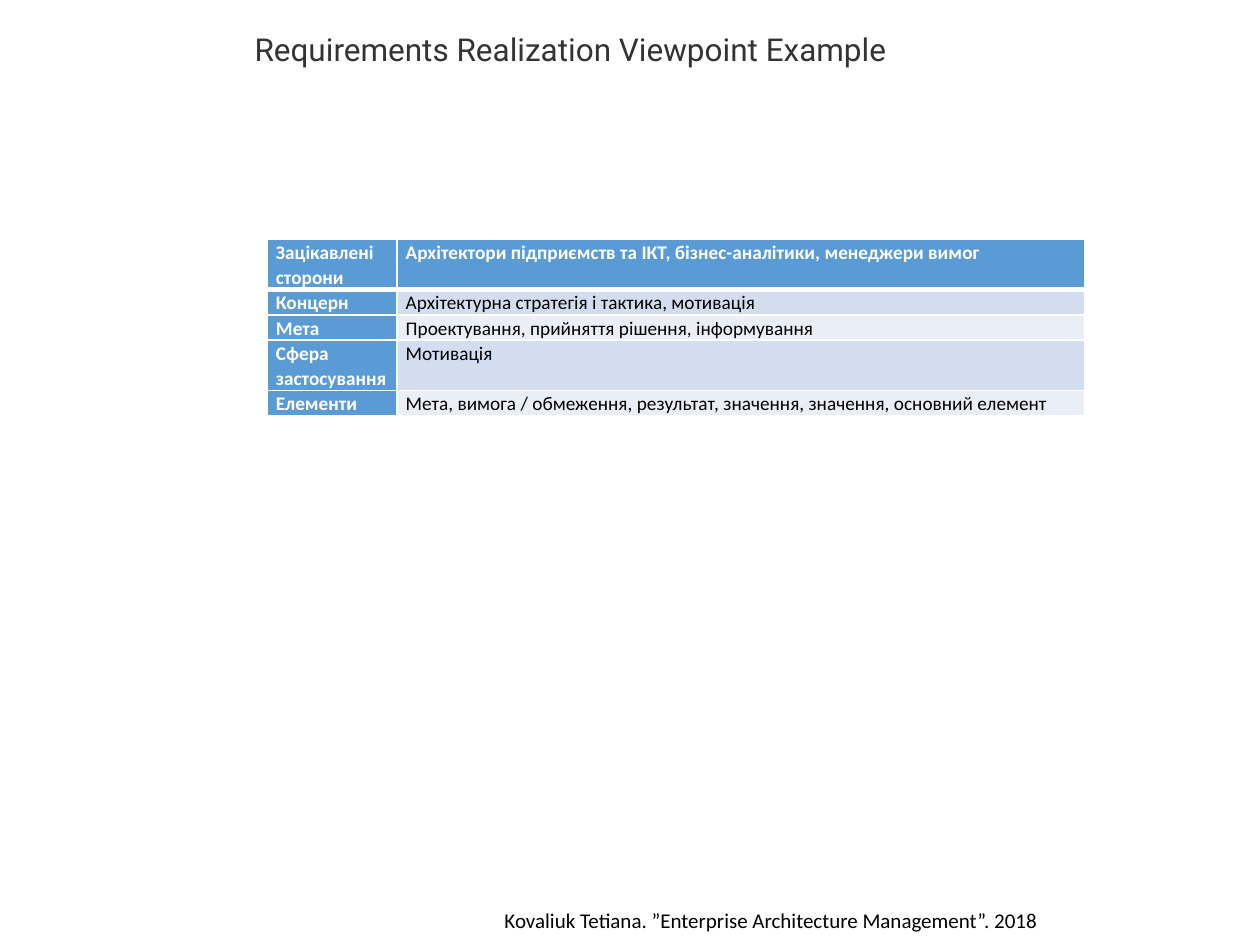
from lxml import etree
from pptx import Presentation
from pptx import util as u
from pptx.dml.color import RGBColor
from pptx.enum import text
from pptx.oxml.ns import qn

WHITE, BLACK, BLUE = "FFFFFF", "000000", "5B9BD5"
BANDS = ("D2DEEF", "EAEFF7")
COLUMN_WIDTHS = (1.03, 5.46)
LINE_HEIGHT = 0.2
ROWS = [
    ("Зацікавлені сторони", "Архітектори підприємств та ІКТ, бізнес-аналітики, менеджери вимог", 2),
    ("Концерн", "Архітектурна стратегія і тактика, мотивація", 1),
    ("Мета", "Проектування, прийняття рішення, інформування", 1),
    ("Сфера застосування", "Мотивація", 2),
    ("Елементи", "Мета, вимога / обмеження, результат, значення, значення, основний елемент", 1),
]


def color(value):
    return RGBColor.from_string(value)


def set_values(target, values):
    for name, value in values.items():
        setattr(target, name, value)


def write(frame, content, font, size, ink, bold=False, **paragraph_format):
    frame.text = content
    frame.word_wrap = True
    paragraph = frame.paragraphs[0]
    set_values(paragraph, paragraph_format)
    run_font = paragraph.runs[0].font
    set_values(run_font, {"name": font, "size": u.Pt(size), "bold": bold})
    run_font.color.rgb = color(ink)


def place(shape, left, top, width, height):
    set_values(shape, {"left": u.Inches(left), "top": u.Inches(top),
                       "width": u.Inches(width), "height": u.Inches(height)})


def add_title(slide):
    title = slide.shapes.title
    place(title, 1.92, 0.19, 5.92, 0.4)
    write(title.text_frame, "Requirements Realization Viewpoint Example",
          "Roboto", 18, "333333", alignment=text.PP_ALIGN.LEFT)
    set_values(title.text_frame, {"vertical_anchor": text.MSO_ANCHOR.TOP,
                                  "auto_size": text.MSO_AUTO_SIZE.SHAPE_TO_FIT_TEXT})


def add_footer(slide):
    box = slide.shapes.add_textbox(*map(u.Inches, (2.24, 7.15, 7.76, 0.3)))
    write(box.text_frame, "Kovaliuk Tetiana. ”Enterprise Architecture Management”. 2018",
          "Calibri", 12, BLACK, alignment=text.PP_ALIGN.CENTER)


def set_borders(cell, widths):
    """Draw white borders; they precede the fill in the cell properties."""
    properties = cell._tc.get_or_add_tcPr()
    for index, (side, width) in enumerate(widths.items()):
        line = etree.Element(qn(f"a:ln{side}"), w=str(u.Pt(width)))
        fill = etree.SubElement(line, qn("a:solidFill"))
        etree.SubElement(fill, qn("a:srgbClr"), val=WHITE)
        properties.insert(index, line)


def format_cell(cell, content, row, column):
    is_heading = row == 0 or column == 0
    set_values(cell, {"margin_left": u.Inches(0.07), "margin_right": u.Inches(0.07),
                      "margin_top": 0, "margin_bottom": 0})
    write(cell.text_frame, content, "Calibri", 11, WHITE if is_heading else BLACK,
          bold=is_heading, line_spacing=1.07)
    cell.fill.solid()
    cell.fill.fore_color.rgb = color(BLUE if is_heading else BANDS[(row - 1) % 2])
    # A thicker rule separates the header from the body
    set_borders(cell, {"L": 1, "R": 1, "T": 3 if row == 1 else 1, "B": 3 if row == 0 else 1})


def add_viewpoint_table(slide):
    height = LINE_HEIGHT * sum(lines for *_, lines in ROWS)
    frame = slide.shapes.add_table(len(ROWS), len(COLUMN_WIDTHS), u.Inches(2.12), u.Inches(1.9),
                                   u.Inches(sum(COLUMN_WIDTHS)), u.Inches(height))
    table = frame.table
    for column, width in zip(table.columns, COLUMN_WIDTHS):
        column.width = u.Inches(width)
    for row, (*contents, lines) in enumerate(ROWS):
        table.rows[row].height = u.Inches(LINE_HEIGHT * lines)
        for column, content in enumerate(contents):
            format_cell(table.cell(row, column), content, row, column)


def main():
    presentation = Presentation()
    set_values(presentation, {"slide_width": u.Inches(10), "slide_height": u.Inches(7.5)})
    slide = presentation.slides.add_slide(presentation.slide_layouts[5])
    add_footer(slide)
    add_viewpoint_table(slide)
    add_title(slide)
    presentation.save("out.pptx")


if __name__ == "__main__":
    main()
